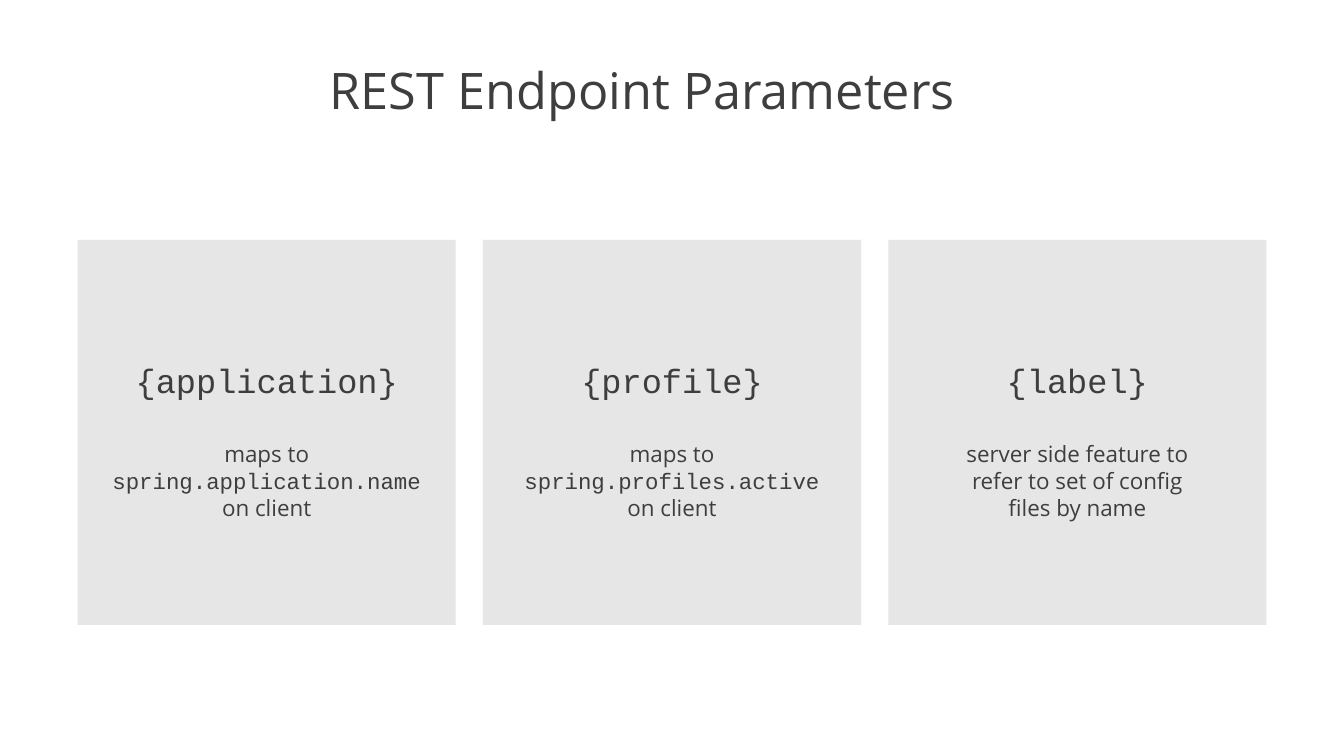
import pptx
import pptx.util
import pptx.dml.color
import pptx.enum.shapes
import pptx.enum.text

Inch, Pt = pptx.util.Inches, pptx.util.Pt
Align = pptx.enum.text.PP_ALIGN
Anchor = pptx.enum.text.MSO_ANCHOR

# Content: heading, text runs as (words, font role), side inset
TITLE = "REST Endpoint Parameters"
CARDS = [
    ("{application}", [("maps to ", "sans"), ("spring.application.name", "mono"),
                       (" on client", "sans")], 0.3),
    ("{profile}", [("maps to ", "sans"), ("spring.profiles.active", "mono"),
                   (" on client", "sans")], 0.3),
    ("{label}", [("server side feature to refer to set of config files by name",
                  "sans")], 0.65),
]

THEME = {"ink": "3E3E3E", "card": "E6E6E6", "sans": "Open Sans",
         "mono": "Courier New", "title": 36, "head": 24, "body": 16}

# Grid
WIDE, HIGH = 13.33, 7.5
LEFT, TOP, SIDE, TALL, STEP = 0.77, 2.38, 3.75, 3.82, 4.02
HEAD_TOP = 1.19


def color(name):
    return pptx.dml.color.RGBColor.from_string(THEME[name])


def write(para, runs, size, align=Align.CENTER, before=0, line=None):
    para.alignment = align
    para.space_before = Pt(before)
    if line:
        para.line_spacing = Pt(line)
    for words, face in runs:
        run = para.add_run()
        run.text = words
        run.font.name = THEME[face]
        run.font.size = Pt(THEME[size])
        run.font.color.rgb = color("ink")


def frame(shape, anchor, side=0, top=0):
    text = shape.text_frame
    text.word_wrap = True
    text.auto_size = pptx.enum.text.MSO_AUTO_SIZE.NONE
    text.vertical_anchor = anchor
    text.margin_left = text.margin_right = Inch(side)
    text.margin_top, text.margin_bottom = Inch(top), 0
    return text


deck = pptx.Presentation()
deck.slide_width, deck.slide_height = Inch(WIDE), Inch(HIGH)
slide = deck.slides.add_slide(deck.slide_layouts[5])

# Title
title = slide.shapes.title
title.left, title.top = Inch(3.27), Inch(0.57)
title.width, title.height = Inch(6.7), Inch(0.63)
write(frame(title, Anchor.MIDDLE).paragraphs[0], [(TITLE, "sans")], "title",
      align=Align.LEFT)

# Cards
for col, (head, body, side) in enumerate(CARDS):
    card = slide.shapes.add_shape(
        pptx.enum.shapes.MSO_SHAPE.RECTANGLE,
        Inch(LEFT + col * STEP), Inch(TOP), Inch(SIDE), Inch(TALL))
    card.shadow.inherit = False
    card.fill.solid()
    card.fill.fore_color.rgb = color("card")
    card.line.fill.background()
    text = frame(card, Anchor.TOP, side, HEAD_TOP)
    write(text.paragraphs[0], [(head, "mono")], "head")
    write(text.add_paragraph(), body, "body", before=28.6, line=19.3)

deck.save("out.pptx")
